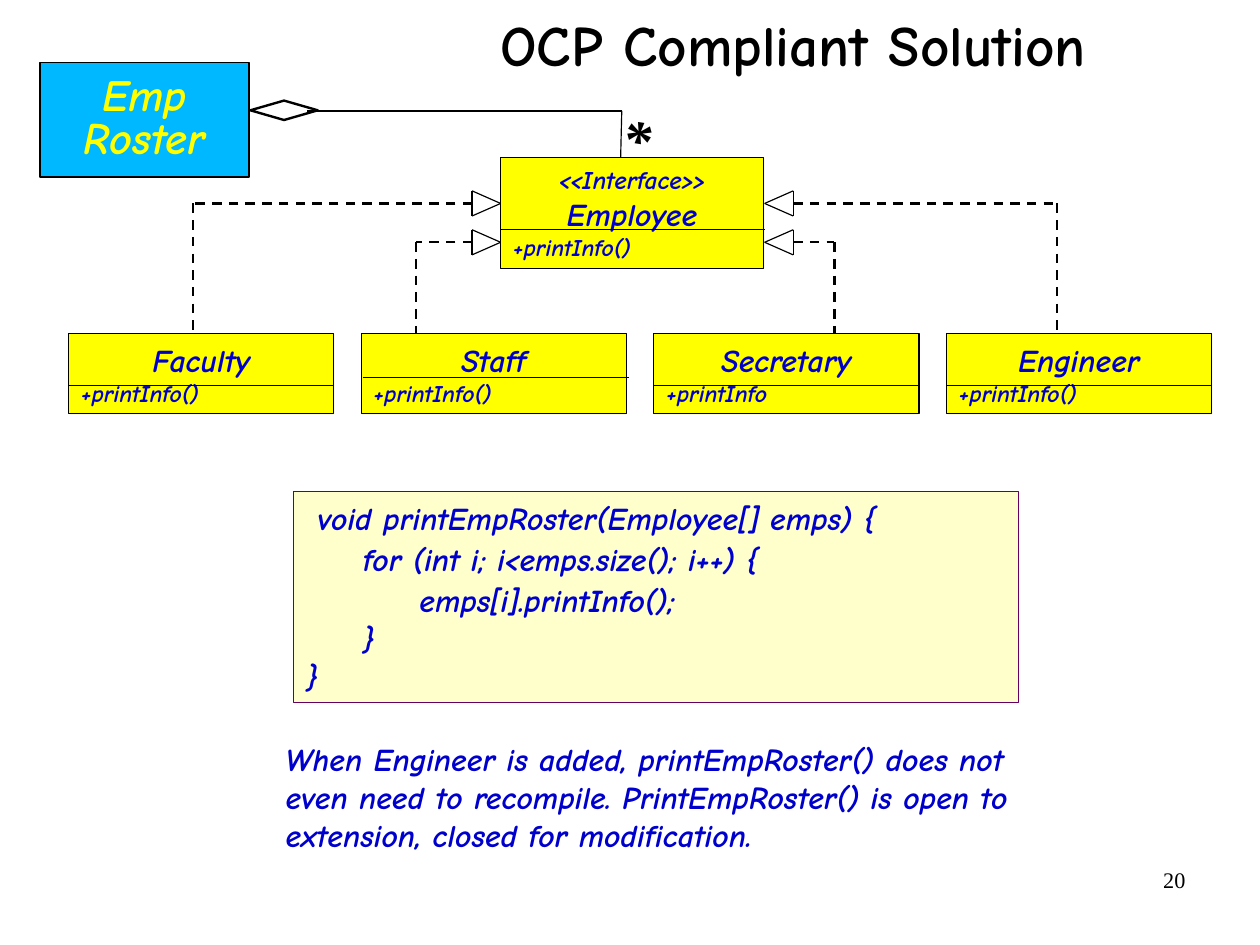
from dataclasses import dataclass

from lxml import etree
from pptx import Presentation
from pptx.dml.color import RGBColor
from pptx.enum import dml, shapes, text
from pptx.oxml import ns
from pptx.util import Inches, Pt

BLACK = RGBColor(0x00, 0x00, 0x00)
BLUE = RGBColor(0x00, 0x00, 0xCC)
YELLOW = RGBColor(0xFF, 0xFF, 0x00)
CREAM = RGBColor(0xFF, 0xFF, 0xCC)
PURPLE = RGBColor(0x66, 0x00, 0x66)
SKY = RGBColor(0x00, 0xB8, 0xFF)
COMIC = "Comic Neue"
TIMES = "Times New Roman"
LEFT, MID, RIGHT = text.PP_ALIGN.LEFT, text.PP_ALIGN.CENTER, text.PP_ALIGN.RIGHT
TOP, CENTRE = text.MSO_ANCHOR.TOP, text.MSO_ANCHOR.MIDDLE
WIDE, SLIM = (0.11, 0.06), (0.1, 0.05)


@dataclass
class Line:
    words: str
    size: float = 20
    align: text.PP_ALIGN = LEFT
    font: str = COMIC
    color: RGBColor = BLUE
    bold: bool = True
    slant: bool = True
    pitch: float | None = None
    before: float = 0


@dataclass
class Box:
    left: float
    top: float
    width: float
    height: float
    lines: list[Line]
    fill: RGBColor | None = None
    edge: RGBColor = BLACK
    inset: tuple[float, float] = WIDE
    anchor: text.MSO_ANCHOR = TOP
    wrap: bool = True


@dataclass
class Member:
    name: str
    method: str
    rule_x: float
    rule_y: float


@dataclass
class Link:
    tip: float
    base: float
    stem: float
    level: float


def write(shape, box: Box) -> None:
    frame = shape.text_frame
    frame.auto_size = text.MSO_AUTO_SIZE.NONE
    frame.word_wrap = box.wrap
    frame.vertical_anchor = box.anchor
    frame.margin_left = frame.margin_right = Inches(box.inset[0])
    frame.margin_top = frame.margin_bottom = Inches(box.inset[1])
    for index, line in enumerate(box.lines):
        para = frame.add_paragraph() if index else frame.paragraphs[0]
        para.text = line.words
        para.alignment = line.align
        para.space_before = Pt(line.before)
        if line.pitch:
            para.line_spacing = line.pitch
        font = para.font
        font.name, font.size = line.font, Pt(line.size)
        font.bold, font.italic = line.bold, line.slant
        font.color.rgb = line.color


def place(slide, box: Box) -> None:
    area = [Inches(v) for v in (box.left, box.top, box.width, box.height)]
    if box.fill is None:
        shape = slide.shapes.add_textbox(*area)
    else:
        shape = slide.shapes.add_shape(shapes.MSO_SHAPE.RECTANGLE, *area)
        shape.shadow.inherit = False
        shape.fill.solid()
        shape.fill.fore_color.rgb = box.fill
        shape.line.color.rgb = box.edge
        shape.line.width = Pt(0.75)
    write(shape, box)


def draw(slide, x1: float, y1: float, x2: float, y2: float,
         width: float = 0.75, dashed: bool = False) -> None:
    ends = [Inches(v) for v in (x1, y1, x2, y2)]
    line = slide.shapes.add_connector(shapes.MSO_CONNECTOR.STRAIGHT, *ends)
    line.line.color.rgb = BLACK
    line.line.width = Pt(width)
    if dashed:
        line.line.dash_style = dml.MSO_LINE.DASH
    etree.SubElement(line._element.spPr, ns.qn("a:effectLst"))


def join(slide, link: Link, foot: float) -> None:
    high, low = link.level - 0.11, link.level + 0.11
    draw(slide, link.base, high, link.tip, link.level)
    draw(slide, link.tip, link.level, link.base, low)
    draw(slide, link.base, high, link.base, low)
    draw(slide, link.base, link.level, link.stem, link.level, 1.5, True)
    draw(slide, link.stem, link.level, link.stem, foot, 1.5, True)


def main() -> None:
    deck = Presentation()
    deck.slide_width, deck.slide_height = Inches(28 / 2.54), Inches(21 / 2.54)
    deck.element.sldSz.attrib.pop("type", None)
    slide = deck.slides.add_slide(deck.slide_layouts[5])

    head = Box(2.24, -0.26, 9.4, 1.37,
               [Line("OCP Compliant Solution", 36, MID, color=BLACK,
                     slant=False, pitch=0.88)], anchor=CENTRE)
    title = slide.shapes.title
    title.left, title.top = Inches(head.left), Inches(head.top)
    title.width, title.height = Inches(head.width), Inches(head.height)
    write(title, head)

    place(slide, Box(2.57, 4.3, 6.34, 1.85, [
        Line(" void printEmpRoster(Employee[] emps) {"),
        Line("     for (int i; i<emps.size(); i++) {", before=2),
        Line("          emps[i].printInfo();", before=2),
        Line("     }"),
        Line("}"),
    ], CREAM, PURPLE))

    place(slide, Box(4.38, 1.38, 2.3, 0.97, [
        Line("<<Interface>>", 16, MID),
        Line("Employee", 20, MID),
        Line("+printInfo()", 15),
    ], YELLOW))
    draw(slide, 4.38, 2.01, 6.69, 2.01)

    row, width, step = 2.92, 2.32, 2.56
    members = [
        Member("Faculty", "+printInfo()", 0, 3.37),
        Member("Staff", "+printInfo()", 0.02, 3.3),
        Member("Secretary", "+printInfo", 0, 3.37),
        Member("Engineer", "+printInfo()", 0, 3.37),
    ]
    for index, member in enumerate(members):
        left = 0.6 + index * step
        place(slide, Box(left, row, width, 0.7, [
            Line(member.name, 20, MID), Line(member.method, 15)], YELLOW))
        start = left + member.rule_x
        draw(slide, start, member.rule_y, start + width, member.rule_y)

    for link in (Link(4.38, 4.13, 3.64, 2.12), Link(6.69, 6.94, 7.3, 2.12),
                 Link(4.38, 4.13, 1.69, 1.78), Link(6.69, 6.94, 9.25, 1.78)):
        join(slide, link, row)

    place(slide, Box(2.39, 6.41, 6.89, 1.11, [
        Line("When Engineer is added, printEmpRoster() does not even need to "
             "recompile. PrintEmpRoster() is open to extension, closed for "
             "modification.")]))

    place(slide, Box(0.35, 0.55, 1.83, 1, [
        Line(word, 28, MID, color=YELLOW, pitch=0.8)
        for word in ("Emp", "Roster")], SKY, inset=SLIM, anchor=CENTRE, wrap=False))

    draw(slide, 2.69, 0.97, 5.44, 0.97, 1.5)
    gem = slide.shapes.add_shape(shapes.MSO_SHAPE.DIAMOND, Inches(2.4),
                                 Inches(0.67), Inches(0.17), Inches(0.59))
    gem.rotation = 270
    gem.shadow.inherit = False
    gem.fill.background()
    gem.line.color.rgb = BLACK
    gem.line.width = Pt(1.5)
    draw(slide, 5.44, 0.97, 5.43, 1.38)

    place(slide, Box(5.35, 0.97, 0.42, 0.58,
                     [Line("*", 36, font=TIMES, color=BLACK, pitch=0.8)], inset=SLIM))
    place(slide, Box(7.9, 7.53, 2.57, 0.57,
                     [Line("20", 14, RIGHT, TIMES, BLACK, False, False)], inset=SLIM))

    deck.save("out.pptx")


if __name__ == "__main__":
    main()
